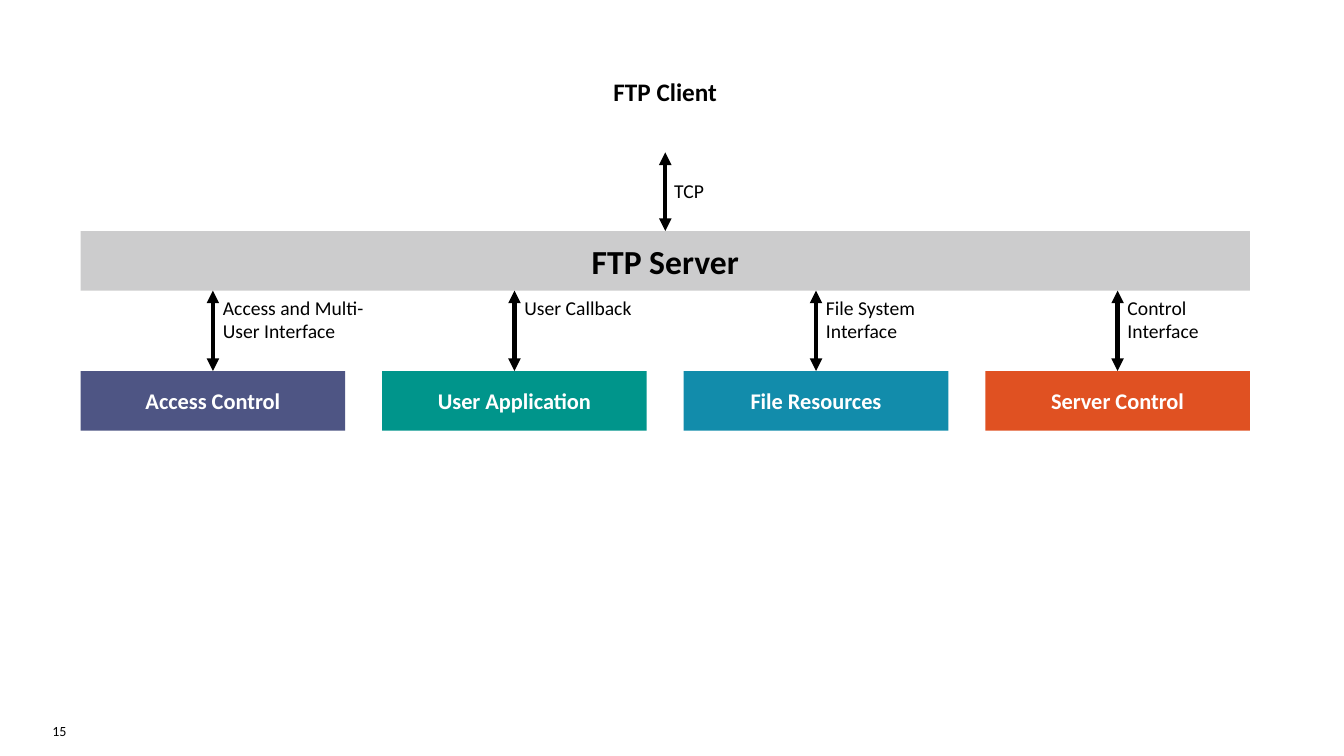
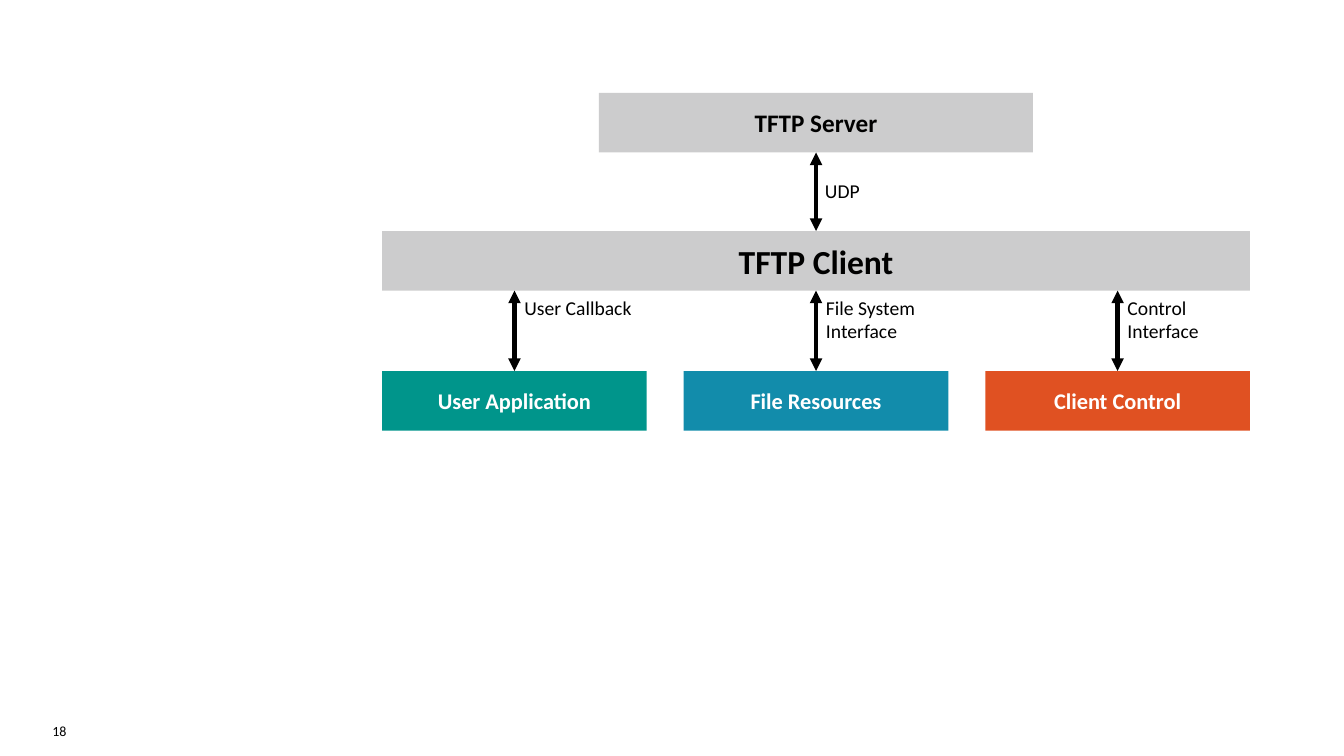
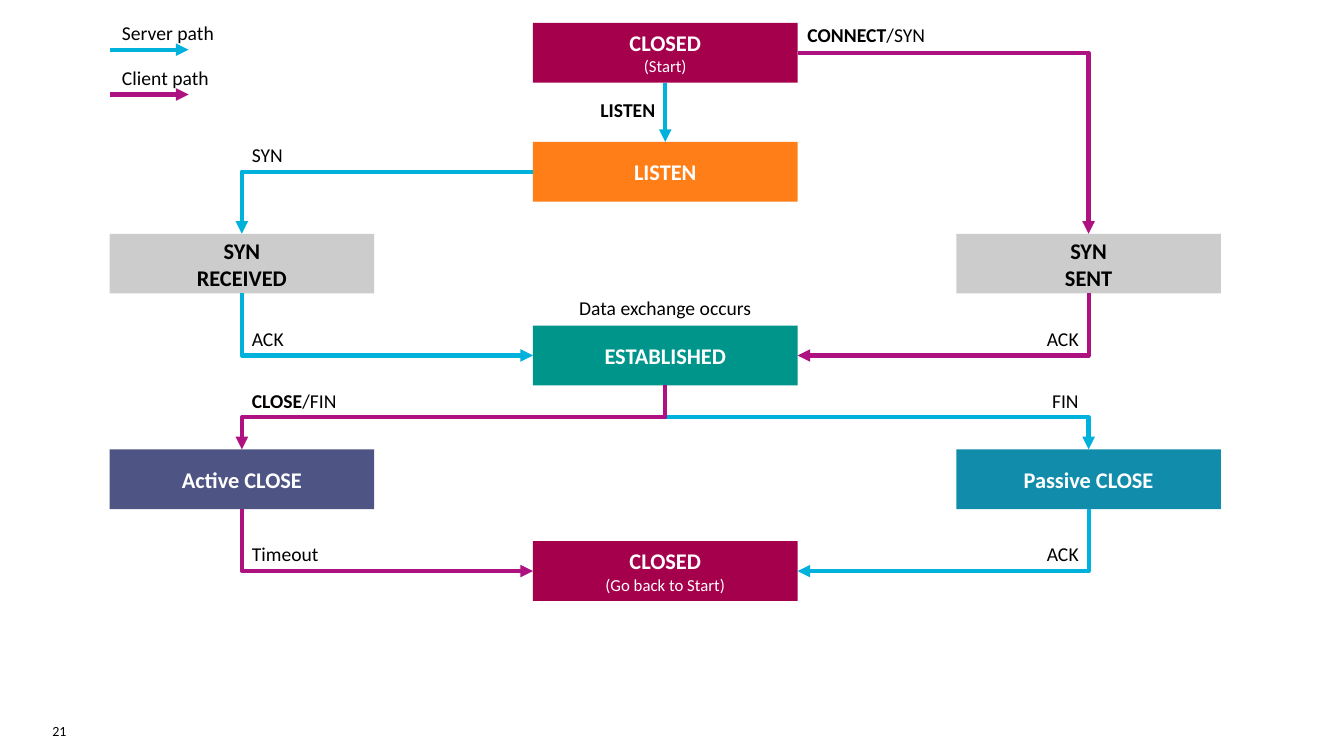
from lxml import etree
from pptx import Presentation
from pptx import util as u
from pptx.dml.color import RGBColor
from pptx.enum import shapes, text
from pptx.oxml.ns import qn

COLORS = {
    "black": "000000", "white": "FFFFFF", "grey": "808082",
    "indigo": "4E5584", "teal": "00958B", "blue": "128CAB",
    "red": "E05122", "orange": "FF7E17", "crimson": "A5004C",
    "server": "00B1DB", "client": "AE1280",
}
FONT = "Calibri"
BOX_WIDTH, BOX_HEIGHT = 189, 42.6
LABEL_HEIGHT = 24.6
LEFT, CENTER, RIGHT = text.PP_ALIGN.LEFT, text.PP_ALIGN.CENTER, text.PP_ALIGN.RIGHT


def add_text(slide, frame, lines, fill=None, size=14, bold=False,
             color="black", align=LEFT, margins=(7.2, 3.6, 7.2, 3.6)):
    """Add a text box, or a filled rectangle; a line is a string or (text, format) runs."""
    frame = [u.Pt(length) for length in frame]
    if fill:
        shape = slide.shapes.add_shape(shapes.MSO_SHAPE.RECTANGLE, *frame)
        shape.shadow.inherit = False
        shape.line.fill.background()
        shape.fill.solid()
        shape.fill.fore_color.rgb = RGBColor.from_string(COLORS[fill])
        if fill == "grey":
            tint = shape._element.spPr.find(qn("a:solidFill"))[0]
            etree.SubElement(tint, qn("a:alpha")).set("val", "40000")
    else:
        shape = slide.shapes.add_textbox(*frame)
    body = shape.text_frame
    body.word_wrap = True
    body.vertical_anchor = text.MSO_ANCHOR.MIDDLE if fill else text.MSO_ANCHOR.TOP
    body.margin_left, body.margin_top, body.margin_right, body.margin_bottom = map(u.Pt, margins)
    for index, line in enumerate(lines):
        paragraph = body.add_paragraph() if index else body.paragraphs[0]
        paragraph.alignment = align
        for words, changes in [(line, {})] if isinstance(line, str) else line:
            run = paragraph.add_run()
            run.text = words
            run.font.name = FONT
            run.font.size = u.Pt(changes.get("size", size))
            run.font.bold = changes.get("bold", bold)
            run.font.color.rgb = RGBColor.from_string(COLORS[color])
    return shape


def connect(slide, start, end, color, preset="line", down_first=False, both_heads=False):
    """Draw an arrow; each end is (x, y) in points or (shape, side)."""
    points = []
    for first, second in (start, end):
        if isinstance(first, (int, float)):
            points += [u.Pt(first), u.Pt(second)]
        else:
            points += [int(first.left + first.width * (0.5, 0, 0.5, 1)[second]),
                       int(first.top + first.height * (0, 0.5, 1, 0.5)[second])]
    x1, y1, x2, y2 = points
    kind = shapes.MSO_CONNECTOR.STRAIGHT if preset == "line" else shapes.MSO_CONNECTOR.ELBOW
    connector = slide.shapes.add_connector(kind, *points)
    properties = connector._element.spPr
    if preset == "line":
        if not isinstance(start[0], (int, float)):
            connector.begin_connect(*start)
        if not isinstance(end[0], (int, float)):
            connector.end_connect(*end)
    else:
        properties.find(qn("a:prstGeom")).set("prst", preset)
    if down_first:  # turn the elbow so that it leaves its start downwards
        width, height = abs(x2 - x1), y2 - y1
        connector.left, connector.top = (x1 + x2 - height) // 2, (y1 + y2 - width) // 2
        connector.width, connector.height = height, width
        properties.xfrm.set("rot", str((90 if x2 < x1 else 270) * 60000))
        properties.xfrm.set("flipH", "0" if x2 < x1 else "1")
    connector.line.width = u.Pt(3)
    connector.line.color.rgb = RGBColor.from_string(COLORS[color])
    line = properties.find(qn("a:ln"))
    for tag in ["a:headEnd", "a:tailEnd"] if both_heads else ["a:tailEnd"]:
        etree.SubElement(line, qn(tag)).set("type", "triangle")
    etree.SubElement(properties, qn("a:effectLst"))


presentation = Presentation()
presentation.slide_width, presentation.slide_height = u.Pt(960), u.Pt(540)

# Blank slides with their page numbers
slides = []
for number in (15, 18, 21):
    slide = presentation.slides.add_slide(presentation.slide_layouts[6])
    add_text(slide, (37.4, 516.2, 103, 18.7), [str(number)], size=10, margins=(0, 0, 7.2, 0))
    slides.append(slide)

# FTP server and TFTP client: a bar above a row of modules
MODULE_LEFT, MODULE_PITCH = 57.6, 215.4
PEER_BOTTOM, BAR_TOP, MODULE_TOP = 108.9, 165, 265
BAR_BOTTOM = BAR_TOP + BOX_HEIGHT
modules = [
    ("Access Control", "indigo", "Access and Multi-User Interface", 121),
    ("User Application", "teal", "User Callback", 169),
    ("File Resources", "blue", "File System Interface", 121),
    ("{} Control", "red", "Control Interface", 94.5),
]
for slide, role, bar_name, peer_name, protocol, first_column in (
        (slides[0], "Server", "FTP Server", "FTP Client", "TCP", 0),
        (slides[1], "Client", "TFTP Client", "TFTP Server", "UDP", 1)):
    bar_left = MODULE_LEFT + first_column * MODULE_PITCH
    bar_width = (3 - first_column) * MODULE_PITCH + BOX_WIDTH
    bar_center = bar_left + bar_width / 2
    bar = add_text(slide, (bar_left, BAR_TOP, bar_width, BOX_HEIGHT), [bar_name],
                   fill="grey", size=24, bold=True, align=CENTER)

    # Peer and protocol
    if role == "Client":
        peer = add_text(slide, (bar_center - 155, PEER_BOTTOM - BOX_HEIGHT, 310, BOX_HEIGHT),
                        [peer_name], fill="grey", size=18, bold=True, align=CENTER)
        peer_end = (peer, 2)
    else:
        add_text(slide, (bar_center - 101, 51.3, 202, 29), [peer_name],
                 size=18, bold=True, align=CENTER)
        peer_end = (bar_center, PEER_BOTTOM)
    connect(slide, peer_end, (bar, 0), "black", both_heads=True)
    add_text(slide, (bar_center - 0.7, 124.6, 124.6, LABEL_HEIGHT), [protocol])

    # Modules and their interfaces
    for column in range(first_column, 4):
        name, fill, interface, label_width = modules[column]
        left = MODULE_LEFT + column * MODULE_PITCH
        center = left + BOX_WIDTH / 2
        module = add_text(slide, (left, MODULE_TOP, BOX_WIDTH, BOX_HEIGHT), [name.format(role)],
                          fill=fill, size=16, bold=True, color="white", align=CENTER)
        bar_end = (bar, 2) if abs(center - bar_center) < 1 else (center, BAR_BOTTOM)
        connect(slide, bar_end, (module, 0), "black", both_heads=True)
        add_text(slide, (center, BAR_BOTTOM, label_width, 41), [interface])

# TCP states: three columns
STATE_LEFT, STATE_PITCH = 78.3, 302.4
slide = slides[2]
small = {"size": 12, "bold": False}
states = {}
for key, column, top, fill, lines in (
        ("start", 1, 16.4, "crimson", ["CLOSED", [("(Start)", small)]]),
        ("listen", 1, 101.4, "orange", ["LISTEN"]),
        ("received", 0, 167, "grey", ["SYN", "RECEIVED"]),
        ("sent", 2, 167, "grey", ["SYN", "SENT"]),
        ("established", 1, 232.6, "teal", ["ESTABLISHED"]),
        ("active", 0, 321, "indigo", ["Active CLOSE"]),
        ("passive", 2, 321, "blue", ["Passive CLOSE"]),
        ("end", 1, 386.6, "crimson", ["CLOSED", [("(Go back to Start)", small)]])):
    states[key] = add_text(
        slide, (STATE_LEFT + column * STATE_PITCH, top, BOX_WIDTH, BOX_HEIGHT), lines,
        fill=fill, size=16, bold=True, color="black" if fill == "grey" else "white", align=CENTER)

# Transitions
for source, source_side, target, target_side, color, preset in (
        ("start", 2, "listen", 0, "server", "line"),
        ("listen", 1, "received", 0, "server", "bentConnector2"),
        ("received", 2, "established", 1, "server", "bentConnector2"),
        ("established", 2, "passive", 0, "server", "bentConnector3"),
        ("passive", 2, "end", 3, "server", "bentConnector2"),
        ("start", 3, "sent", 0, "client", "bentConnector2"),
        ("sent", 2, "established", 3, "client", "bentConnector2"),
        ("established", 2, "active", 0, "client", "bentConnector3"),
        ("active", 2, "end", 1, "client", "bentConnector2")):
    connect(slide, (states[source], source_side), (states[target], target_side), color,
            preset=preset, down_first=preset != "line" and source_side == 2)

# Transition labels, set against the column centres
left_center, middle_center, right_center = (
    STATE_LEFT + BOX_WIDTH / 2 + column * STATE_PITCH for column in range(3))
LABEL_WIDTH = 161
for x, top, align, line in (
        (left_center, 98.6, LEFT, "SYN"),
        (left_center, 229.7, LEFT, "ACK"),
        (left_center, 274.5, LEFT, [("CLOSE", {"bold": True}), ("/FIN", {})]),
        (left_center, 383.8, LEFT, "Timeout"),
        (middle_center + BOX_WIDTH / 2, 13, LEFT, [("CONNECT", {"bold": True}), ("/SYN", {})]),
        (middle_center, 66.2, RIGHT, [("LISTEN", {"bold": True})]),
        (right_center, 229.7, RIGHT, "ACK"),
        (right_center, 274.5, RIGHT, "FIN"),
        (right_center, 383.8, RIGHT, "ACK")):
    left = x if align == LEFT else x - LABEL_WIDTH
    add_text(slide, (left, top, LABEL_WIDTH, LABEL_HEIGHT), [line], align=align)
add_text(slide, (middle_center - BOX_WIDTH / 2, 208, BOX_WIDTH, LABEL_HEIGHT),
         ["Data exchange occurs"], align=CENTER)

# Legend
for y, color, name in ((35.5, "server", "Server path"), (67.5, "client", "Client path")):
    connect(slide, (STATE_LEFT, y), (STATE_LEFT + 56.4, y), color)
    add_text(slide, (80, y - 24.2, 173, LABEL_HEIGHT), [name])

presentation.save("out.pptx")
